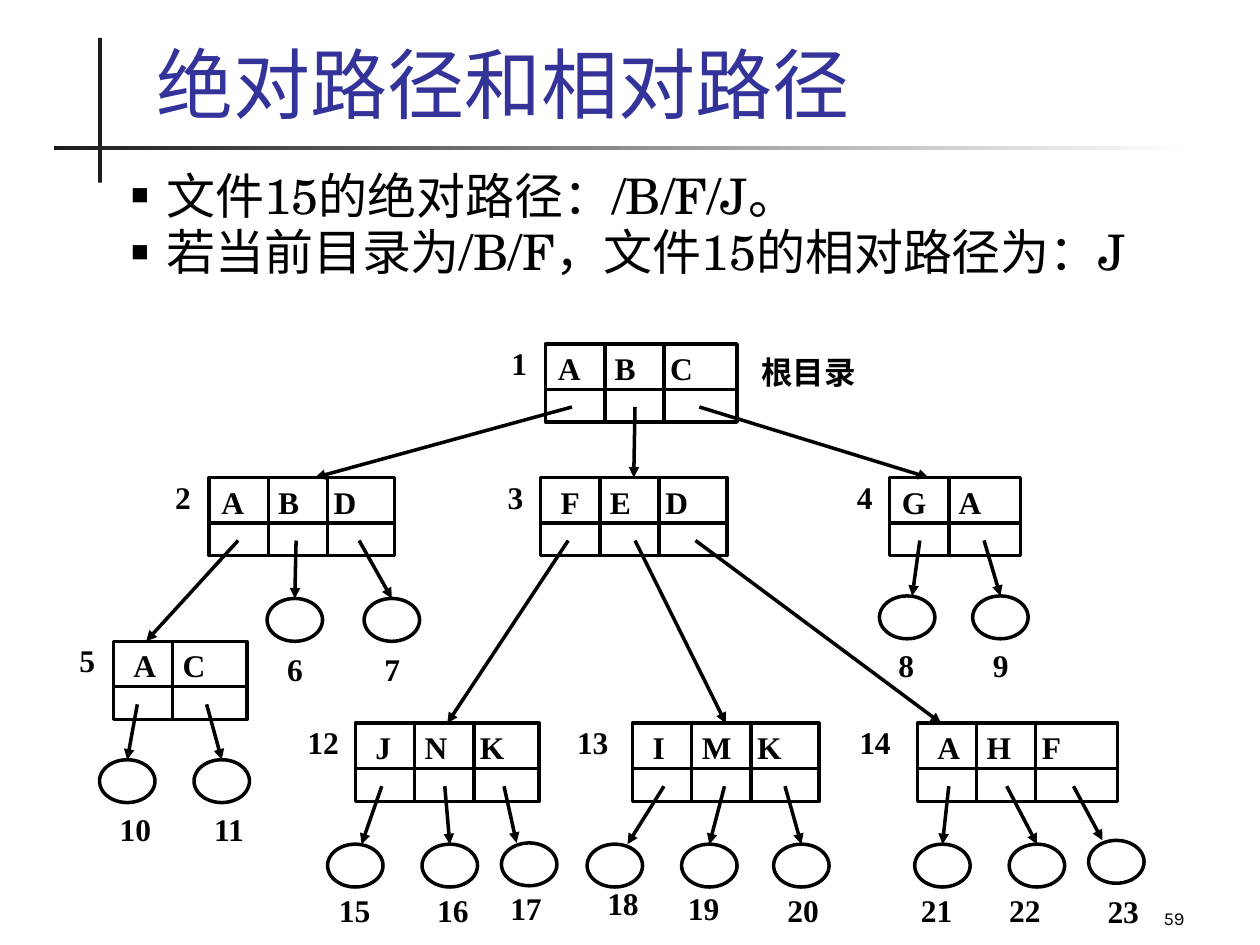
from lxml.etree import SubElement
from pptx import Presentation
from pptx.dml.color import RGBColor
from pptx.enum.shapes import MSO_CONNECTOR, MSO_SHAPE
from pptx.enum.text import MSO_ANCHOR, MSO_AUTO_SIZE, PP_ALIGN
from pptx.oxml.ns import qn
from pptx.util import Inches, Pt

HEADING_FONT = "TeX Gyre Schola"
DIAGRAM_FONT = "Times New Roman"
BLACK, WHITE, DARK, BLUE = "000000", "FFFFFF", "1C1C1C", "333399"

COLUMN = 0.47          # width of one directory entry
NODE_HEIGHT = 0.62
NAME_ROW = 0.36        # height of the row with the names
POINTER_Y = 0.5        # where pointers start, below the top of a directory
FILE_WIDTH, FILE_HEIGHT = 0.44, 0.34
LETTER_STOPS = (0.55, 0.99)

# number: left, top, width, entries, left of the first letter, left of the number
DIRECTORIES = {
    "1": (4.33, 2.73, 1.52, "ABC", 0.10, 4.06),
    "2": (1.66, 3.79, 1.47, "ABD", 0.10, 1.39),
    "3": (4.29, 3.79, 1.48, "FED", 0.16, 4.03),
    "4": (7.06, 3.79, 1.04, "GA", 0.10, 6.80),
    "5": (0.90, 5.09, 1.06, "AC", 0.16, 0.63),
    "12": (2.82, 5.74, 1.46, "JNK", 0.16, 2.44),
    "13": (5.02, 5.74, 1.48, "IMK", 0.16, 4.58),
    "14": (7.28, 5.74, 1.59, "AHF", 0.16, 6.82),
}
# number: left, top, left and top of the number
FILES = {
    "6": (2.12, 4.75, 2.28, 5.16),
    "7": (2.89, 4.75, 3.05, 5.16),
    "8": (6.98, 4.73, 7.13, 5.13),
    "9": (7.72, 4.73, 7.88, 5.13),
    "10": (0.79, 6.03, 0.95, 6.43),
    "11": (1.54, 6.03, 1.70, 6.43),
    "15": (2.60, 6.70, 2.69, 7.07),
    "16": (3.35, 6.70, 3.47, 7.07),
    "17": (3.98, 6.69, 4.05, 7.06),
    "18": (4.66, 6.70, 4.82, 7.02),
    "19": (5.41, 6.70, 5.46, 7.06),
    "20": (6.14, 6.70, 6.25, 7.07),
    "21": (7.26, 6.70, 7.31, 7.07),
    "22": (8.01, 6.70, 8.01, 7.07),
    "23": (8.64, 6.67, 8.79, 7.08),
}
# directory, x of the start, target, x of the end (None: middle of the target's top)
POINTERS = [
    ("1", 4.54, "2", 2.50), ("1", 5.04, "3", None), ("1", 5.55, "4", 7.37),
    ("2", 1.89, "5", 1.16), ("2", 2.35, "6", None), ("2", 2.85, "7", None),
    ("3", 4.51, "12", None), ("3", 5.04, "13", None), ("3", 5.52, "14", 7.47),
    ("4", 7.30, "8", 7.24), ("4", 7.81, "9", None),
    ("5", 1.09, "10", None), ("5", 1.64, "11", None),
    ("12", 3.03, "15", 2.87), ("12", 3.53, "16", None), ("12", 4.00, "17", 4.10),
    ("13", 5.27, "18", 4.98), ("13", 5.75, "19", None), ("13", 6.23, "20", None),
    ("14", 7.53, "21", None), ("14", 7.99, "22", None), ("14", 8.52, "23", 8.75),
]


def rgb(color):
    return RGBColor.from_string(color)


def box(left, top, width, height):
    return [Inches(value) for value in (left, top, width, height)]


def write(shape, text, font=DIAGRAM_FONT, size=18, color=BLACK, bold=False,
          align=PP_ALIGN.LEFT, anchor=MSO_ANCHOR.TOP, insets=(0, 0, 0, 0), tabs=()):
    """Fill a shape with one paragraph; insets are left, top, right, bottom."""
    frame = shape.text_frame
    frame.word_wrap = True
    frame.auto_size = MSO_AUTO_SIZE.NONE
    frame.vertical_anchor = anchor
    (frame.margin_left, frame.margin_top,
     frame.margin_right, frame.margin_bottom) = box(*insets)
    paragraph = frame.paragraphs[0]
    paragraph.alignment = align
    if tabs:
        tab_list = SubElement(paragraph._p.get_or_add_pPr(), qn("a:tabLst"))
        for position in tabs:
            SubElement(tab_list, qn("a:tab"), pos=str(Inches(position)), algn="l")
    format_run(paragraph, text, font, size, color, bold)


def format_run(paragraph, text, font, size, color, bold=False):
    run = paragraph.add_run()
    run.text = text
    run.font.name, run.font.size, run.font.bold = font, Pt(size), bold
    run.font.color.rgb = rgb(color)


def add_text(slide, text, left, top, width, height, **formatting):
    write(slide.shapes.add_textbox(*box(left, top, width, height)), text, **formatting)


def add_number(slide, text, left, top):
    add_text(slide, text, left, top, 0.27 if len(text) == 1 else 0.4, 0.27, bold=True)


def add_outline(slide, kind, left, top, width, height):
    shape = slide.shapes.add_shape(kind, *box(left, top, width, height))
    shape.shadow.inherit = False
    shape.fill.solid()
    shape.fill.fore_color.rgb = rgb(WHITE)
    shape.line.color.rgb = rgb(BLACK)
    shape.line.width = Pt(2)
    return shape


def add_line(slide, x1, y1, x2, y2, arrow=False):
    line = slide.shapes.add_connector(MSO_CONNECTOR.STRAIGHT, *box(x1, y1, x2, y2))
    line.line.color.rgb = rgb(BLACK)
    line.line.width = Pt(2)
    if arrow:
        SubElement(line.line._get_or_add_ln(), qn("a:tailEnd"), type="triangle")
    SubElement(line._element.spPr, qn("a:effectLst"))
    return line


def add_directory(slide, number, left, top, width, entries, first, number_left):
    shape = add_outline(slide, MSO_SHAPE.RECTANGLE, left, top, width, NODE_HEIGHT)
    write(shape, "\t".join(entries), bold=True, align=PP_ALIGN.JUSTIFY,
          insets=(first, 0.04, 0.06, 0.02), tabs=[stop - first for stop in LETTER_STOPS])
    add_line(slide, left, top + NAME_ROW, left + width, top + NAME_ROW)
    for column in range(1, len(entries)):
        x = left + column * COLUMN
        add_line(slide, x, top, x, top + NODE_HEIGHT)
    add_number(slide, number, number_left, top)
    return shape


def add_file(slide, number, left, top, number_left, number_top):
    add_number(slide, number, number_left, number_top)
    return add_outline(slide, MSO_SHAPE.OVAL, left, top, FILE_WIDTH, FILE_HEIGHT)


def add_pointer(slide, start_x, start_y, target, end_x):
    end_y = target.top / Inches(1)
    line = add_line(slide, start_x, start_y, end_x or start_x, end_y, arrow=True)
    if end_x is None:
        line.end_connect(target, 0)


def add_bar(slide, left, top, width, height, fade=False):
    bar = slide.shapes.add_shape(MSO_SHAPE.RECTANGLE, *box(left, top, width, height))
    bar.shadow.inherit = False
    bar.line.fill.background()
    if fade:
        bar.fill.gradient()
        bar.fill.gradient_angle = 0
        for stop, color in zip(bar.fill.gradient_stops, (DARK, WHITE)):
            stop.color.rgb = rgb(color)
    else:
        bar.fill.solid()
        bar.fill.fore_color.rgb = rgb(DARK)


def place(placeholder, *bounds):
    (placeholder.left, placeholder.top,
     placeholder.width, placeholder.height) = box(*bounds)
    return placeholder


def fill_bullets(placeholder, items):
    frame = placeholder.text_frame
    frame.auto_size = MSO_AUTO_SIZE.NONE
    for index, item in enumerate(items):
        paragraph = frame.add_paragraph() if index else frame.paragraphs[0]
        paragraph.line_spacing = 0.8
        paragraph.space_before = Pt(5.6 if index else 0)
        properties = paragraph._p.get_or_add_pPr()
        properties.set("marL", str(Inches(0.28)))
        properties.set("indent", str(-Inches(0.28)))
        SubElement(SubElement(properties, qn("a:buClr")), qn("a:srgbClr"), val=BLACK)
        SubElement(properties, qn("a:buSzPct"), val="60000")
        SubElement(properties, qn("a:buChar"), char="■")
        format_run(paragraph, item, HEADING_FONT, 28, BLACK)


def main():
    presentation = Presentation()
    presentation.slide_width, presentation.slide_height = Inches(10), Inches(7.5)
    slide = presentation.slides.add_slide(presentation.slide_layouts[1])
    add_bar(slide, 0.78, 0.3, 0.03, 1.15)
    add_bar(slide, 0.43, 1.16, 9, 0.03, fade=True)
    write(place(slide.shapes.title, 1.14, 0.25, 8.59, 0.82), "绝对路径和相对路径",
          font=HEADING_FONT, size=44, color=BLUE, anchor=MSO_ANCHOR.BOTTOM,
          insets=(0.1, 0.05, 0.1, 0.05))
    fill_bullets(place(slide.placeholders[1], 0.94, 1.35, 8.43, 1.02),
                 ["文件15的绝对路径：/B/F/J。", "若当前目录为/B/F，文件15的相对路径为：J"])

    targets = {number: add_directory(slide, number, *values)
               for number, values in DIRECTORIES.items()}
    targets.update({number: add_file(slide, number, *values)
                    for number, values in FILES.items()})
    for parent, start_x, child, end_x in POINTERS:
        add_pointer(slide, start_x, DIRECTORIES[parent][1] + POINTER_Y,
                    targets[child], end_x)
    add_text(slide, "根目录", 6.04, 2.8, 0.83, 0.26, bold=True)
    add_text(slide, "59", 7.42, 6.92, 2.08, 0.5, font="Karla", size=10.5,
             align=PP_ALIGN.RIGHT, anchor=MSO_ANCHOR.BOTTOM, insets=(0.1, 0.05, 0.1, 0.05))
    presentation.save("out.pptx")


if __name__ == "__main__":
    main()
